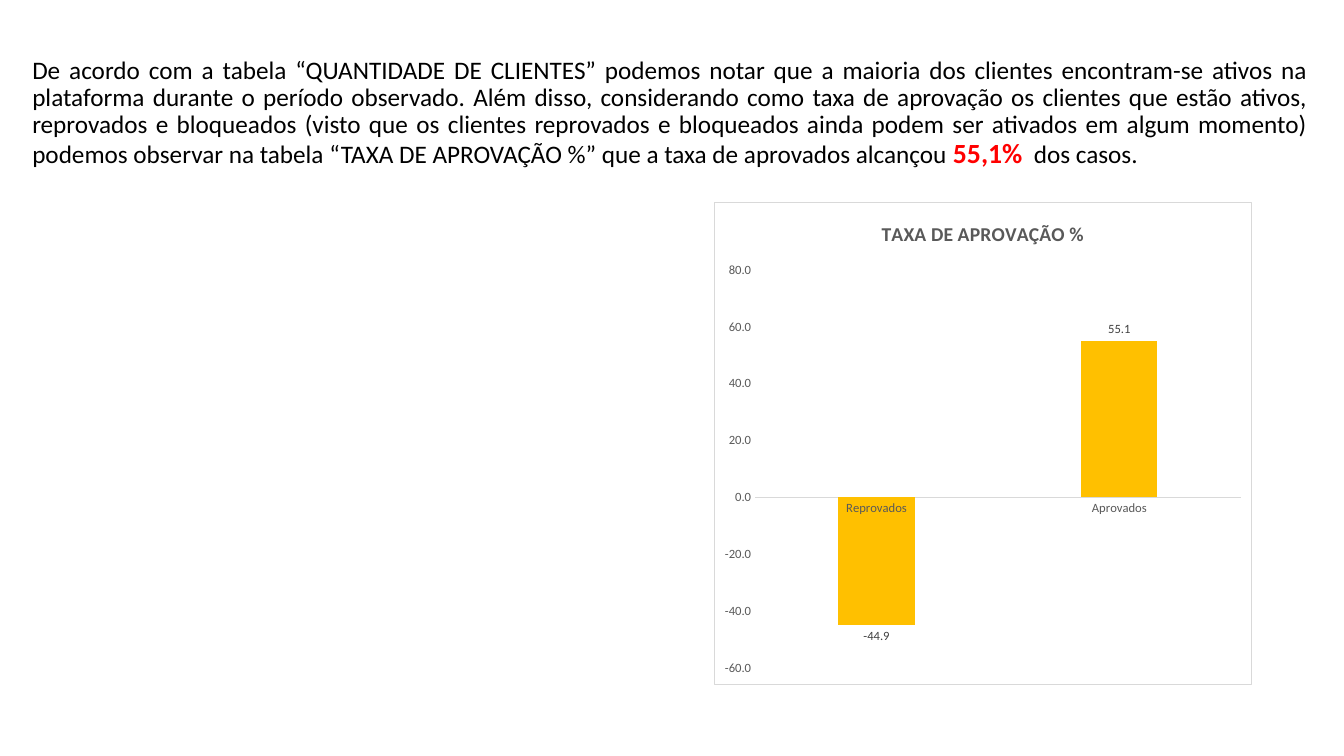
from lxml import etree
from pptx import Presentation
from pptx import util as u
from pptx.chart import data
from pptx.dml.color import RGBColor
from pptx.enum import chart as ch
from pptx.enum import text
from pptx.oxml import ns

WIDE, HIGH = u.Inches(13.33), u.Inches(7.5)
FONT = "Calibri"
BLACK = RGBColor(0, 0, 0)
RED = RGBColor(255, 0, 0)
GOLD = RGBColor(0xFF, 0xC0, 0)
GREY = RGBColor(0x59, 0x59, 0x59)
DARK = RGBColor(0x40, 0x40, 0x40)
PALE = RGBColor(0xD9, 0xD9, 0xD9)
WHITE = RGBColor(255, 255, 255)

INTRO = (
    "De acordo com a tabela “QUANTIDADE DE CLIENTES” podemos notar que a maioria "
    "dos clientes encontram-se ativos na plataforma durante o período observado. "
    "Além disso, considerando como taxa de aprovação os clientes que estão ativos, "
    "reprovados e bloqueados (visto que os clientes reprovados e bloqueados ainda "
    "podem ser ativados em algum momento) podemos observar na tabela “TAXA DE "
    "APROVAÇÃO %” que a taxa de aprovados alcançou "
)
PARTS = [
    (INTRO, 18, BLACK, False),
    ("55,1%", 19.8, RED, True),
    ("  dos casos.", 18, BLACK, False),
]
RATES = {"Reprovados": -44.9, "Aprovados": 55.1}


def place(left, top, width, height):
    """Turn shares of the slide into a box in whole EMU."""
    return int(left * WIDE), int(top * HIGH), int(width * WIDE), int(height * HIGH)


def style(font, size, color, bold=False):
    """Set the face, size, colour and weight of a font."""
    font.name, font.size, font.bold = FONT, u.Pt(size), bold
    font.color.rgb = color


def write_title(title, parts, box):
    """Fill the title with justified runs."""
    title.left, title.top, title.width, title.height = box
    frame = title.text_frame
    frame.word_wrap = True
    frame.auto_size = text.MSO_AUTO_SIZE.NONE
    frame.vertical_anchor = text.MSO_ANCHOR.MIDDLE
    para = frame.paragraphs[0]
    para.alignment = text.PP_ALIGN.JUSTIFY
    para.line_spacing = 0.9
    for words, size, color, bold in parts:
        run = para.add_run()
        run.text = words
        style(run.font, size, color, bold)


def frame_chart(chart, fill, line):
    """Give the chart area a fill and a thin border."""
    area = etree.fromstring(
        f'<c:spPr {ns.nsdecls("c", "a")}>'
        f'<a:solidFill><a:srgbClr val="{fill}"/></a:solidFill>'
        f'<a:ln w="{u.Pt(0.75)}"><a:solidFill><a:srgbClr val="{line}"/>'
        "</a:solidFill></a:ln></c:spPr>"
    )
    chart.element.find(ns.qn("c:chart")).addnext(area)


def set_axis(axis):
    """Clear the ticks and grid of an axis and style its labels."""
    axis.has_major_gridlines = False
    axis.major_tick_mark = axis.minor_tick_mark = ch.XL_TICK_MARK.NONE
    style(axis.tick_labels.font, 9, GREY)


def set_bars(plot):
    """Colour the bars and label their ends."""
    plot.gap_width, plot.overlap = 219, -27
    plot.vary_by_categories = False
    bars = plot.series[0]
    bars.invert_if_negative = False
    bars.format.fill.solid()
    bars.format.fill.fore_color.rgb = GOLD
    tags = bars.data_labels
    tags.show_value = True
    tags.position = ch.XL_LABEL_POSITION.OUTSIDE_END
    tags.number_format, tags.number_format_is_linked = "0.0", False
    style(tags.font, 9, DARK)


def add_bars(slide, name, rates, box):
    """Add a titled column chart of the rates."""
    table = data.CategoryChartData(number_format="0.0")
    table.categories = list(rates)
    table.add_series("Series 1", list(rates.values()))
    chart = slide.shapes.add_chart(
        ch.XL_CHART_TYPE.COLUMN_CLUSTERED, *box, table
    ).chart
    style(chart.font, 10, BLACK)
    frame_chart(chart, WHITE, PALE)
    chart.has_legend = False
    chart.has_title = True
    para = chart.chart_title.text_frame.paragraphs[0]
    para.text = name
    style(para.runs[0].font, 14, GREY, True)
    chart.chart_title.include_in_layout = False
    cats, vals = chart.category_axis, chart.value_axis
    for axis in (cats, vals):
        set_axis(axis)
    cats.format.line.color.rgb = PALE
    cats.format.line.width = u.Pt(0.75)
    vals.format.line.fill.background()
    vals.minimum_scale, vals.maximum_scale, vals.major_unit = -60, 80, 20
    vals.tick_labels.number_format = "0.0"
    vals.tick_labels.number_format_is_linked = False
    set_bars(chart.plots[0])


def main():
    """Build the approval rate slide and save it."""
    deck = Presentation()
    deck.slide_width, deck.slide_height = WIDE, HIGH
    slide = deck.slides.add_slide(deck.slide_layouts.get_by_name("Title Only"))
    write_title(slide.shapes.title, PARTS, place(0.0165, 0.0533, 0.964, 0.1933))
    add_bars(slide, "TAXA DE APROVAÇÃO %", RATES, place(0.531, 0.2667, 0.4006, 0.64))
    deck.save("out.pptx")


if __name__ == "__main__":
    main()
